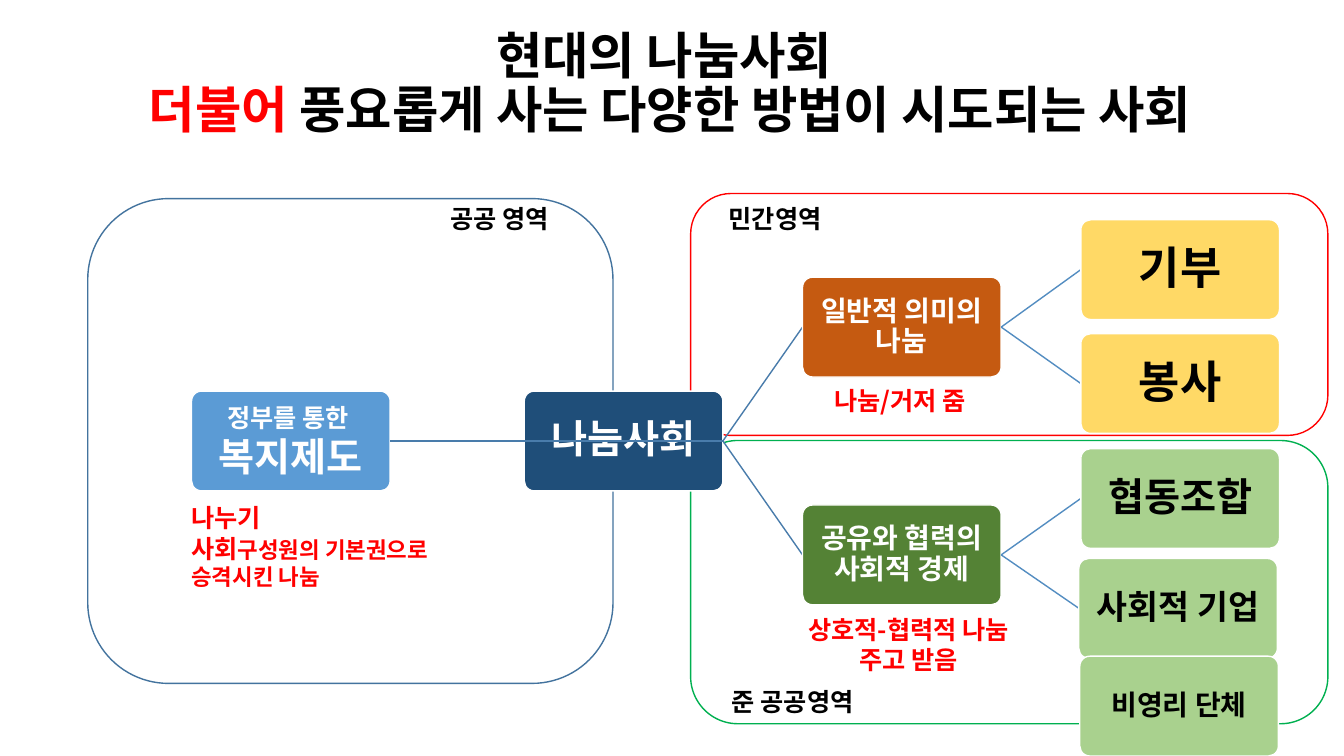
from pptx import Presentation
from pptx.dml.color import RGBColor
from pptx.enum.shapes import MSO_CONNECTOR, MSO_SHAPE
from pptx.enum.text import MSO_ANCHOR, PP_ALIGN
from pptx.oxml.ns import qn
from pptx.util import Inches, Pt
from lxml.etree import SubElement

FONT = "Noto Sans CJK KR"
BLACK = RGBColor(0x00, 0x00, 0x00)
WHITE = RGBColor(0xFF, 0xFF, 0xFF)
RED = RGBColor(0xFF, 0x00, 0x00)
GREEN = RGBColor(0x00, 0xB0, 0x50)
BLUE = RGBColor(0x43, 0x73, 0x9E)
NAVY = RGBColor(0x1F, 0x4E, 0x79)
SKY = RGBColor(0x5B, 0x9B, 0xD5)
RUST = RGBColor(0xC5, 0x5A, 0x11)
MOSS = RGBColor(0x54, 0x82, 0x35)
GOLD = RGBColor(0xFF, 0xD9, 0x66)
LIME = RGBColor(0xA9, 0xD1, 0x8E)
STEM = RGBColor(0x49, 0x7C, 0xAB)
TWIG = RGBColor(0x53, 0x8D, 0xC1)

BOX_W, BOX_H = 1.97, 0.99
HUB = (5.2, 3.88)


def write(frame, lines, align, space=1.0):
    para = frame.paragraphs[0]
    para.alignment = align
    para.line_spacing = space
    for i, line in enumerate(lines):
        if i:
            para.add_line_break()
        for text, size, color in line:
            run = para.add_run()
            run.text = text
            run.font.name = FONT
            run.font.size = Pt(size)
            run.font.bold = True
            run.font.color.rgb = color
            SubElement(run.font._element, qn("a:ea"), typeface=FONT)


def add_zone(slide, x, y, w, h, color):
    zone = slide.shapes.add_shape(
        MSO_SHAPE.ROUNDED_RECTANGLE, Inches(x), Inches(y), Inches(w), Inches(h))
    zone.shadow.inherit = False
    zone.fill.background()
    zone.line.color.rgb = color
    zone.line.width = Pt(1)
    return zone


def add_box(slide, spot, fill, lines, space=0.9):
    box = add_zone(slide, *spot, BOX_W, BOX_H, WHITE)
    box.adjustments[0] = 0.1
    box.fill.solid()
    box.fill.fore_color.rgb = fill
    frame = box.text_frame
    frame.word_wrap = True
    frame.vertical_anchor = MSO_ANCHOR.MIDDLE
    frame.margin_left = frame.margin_right = Inches(0.04)
    frame.margin_top = frame.margin_bottom = Inches(0.04)
    write(frame, lines, PP_ALIGN.CENTER, space)


def add_label(slide, x, y, w, h, lines, align=PP_ALIGN.LEFT, wrap=False, space=1.0):
    label = slide.shapes.add_textbox(Inches(x), Inches(y), Inches(w), Inches(h))
    frame = label.text_frame
    frame.word_wrap = wrap
    frame.vertical_anchor = MSO_ANCHOR.MIDDLE
    write(frame, lines, align, space)


def add_link(slide, start, end, color):
    x, y = start
    u, v = end
    link = slide.shapes.add_connector(
        MSO_CONNECTOR.STRAIGHT, Inches(x), Inches(y), Inches(u), Inches(v))
    link.line.color.rgb = color
    link.line.width = Pt(1)
    SubElement(link._element.spPr, qn("a:effectLst"))


def left_of(spot):
    return spot[0], spot[1] + BOX_H / 2


def right_of(spot):
    return spot[0] + BOX_W, spot[1] + BOX_H / 2


def main():
    deck = Presentation()
    deck.slide_width, deck.slide_height = Inches(13.33), Inches(7.5)
    slide = deck.slides.add_slide(deck.slide_layouts[6])

    add_zone(slide, 6.85, 4.37, 6.32, 2.81, GREEN)
    add_zone(slide, 6.85, 1.92, 6.32, 2.4, RED)
    add_zone(slide, 0.87, 1.97, 5.21, 4.81, BLUE)
    add_label(slide, 0.29, 0.12, 12.71, 1.45, [
        [("현대의 나눔사회 ", 36, BLACK)],
        [("더불어", 36, RED), (" 풍요롭게 사는 다양한 방법이 시도되는 사회", 36, BLACK)],
    ], PP_ALIGN.CENTER, True, 0.9)

    add_box(slide, HUB, NAVY, [[("나눔사회", 28, WHITE)]])
    groups = [
        ((7.96, 2.75), RUST, "일반적 의미의 나눔", GOLD, [
            ((10.72, 2.18), "기부", 32, True),
            ((10.72, 3.31), "봉사", 32, True)]),
        ((7.96, 5.01), MOSS, "공유와 협력의 사회적 경제", LIME, [
            ((10.72, 4.45), "협동조합", 28, True),
            ((10.7, 5.54), "사회적 기업", 24, True),
            ((10.71, 6.51), "비영리 단체", 20, False)]),
    ]
    for spot, fill, name, tint, leaves in groups:
        add_link(slide, right_of(HUB), left_of(spot), STEM)
        add_box(slide, spot, fill, [[(name, 20, WHITE)]])
        for leaf, text, size, linked in leaves:
            if linked:
                add_link(slide, right_of(spot), left_of(leaf), TWIG)
            add_box(slide, leaf, tint, [[(text, size, BLACK)]])

    state = (1.9, 3.88)
    add_box(slide, state, SKY, [
        [("정부를 통한 ", 18, WHITE)], [("복지제도", 28, WHITE)]], 1.0)
    add_link(slide, right_of(state), right_of(HUB), STEM)

    add_label(slide, 8.18, 3.77, 1.66, 0.4, [[("나눔/거저 줌", 18, RED)]])
    add_label(slide, 7.8, 6.04, 2.42, 0.71, [
        [("상호적-협력적 나눔", 18, RED)], [("주고 받음", 18, RED)]], PP_ALIGN.CENTER)
    add_label(slide, 1.8, 4.93, 3.22, 0.98, [
        [("나누기", 18, RED)],
        [("사회", 18, RED), ("구성원의 기본권으로 ", 16, RED)],
        [("승격시킨 나눔", 16, RED)]], wrap=True)
    for x, y, w, text in [
        (4.37, 1.97, 1.3, "공공 영역"),
        (7.13, 1.97, 1.21, "민간영역"),
        (7.16, 6.76, 1.55, "준 공공영역"),
    ]:
        add_label(slide, x, y, w, 0.4, [[(text, 18, BLACK)]])

    deck.save("out.pptx")


if __name__ == "__main__":
    main()
